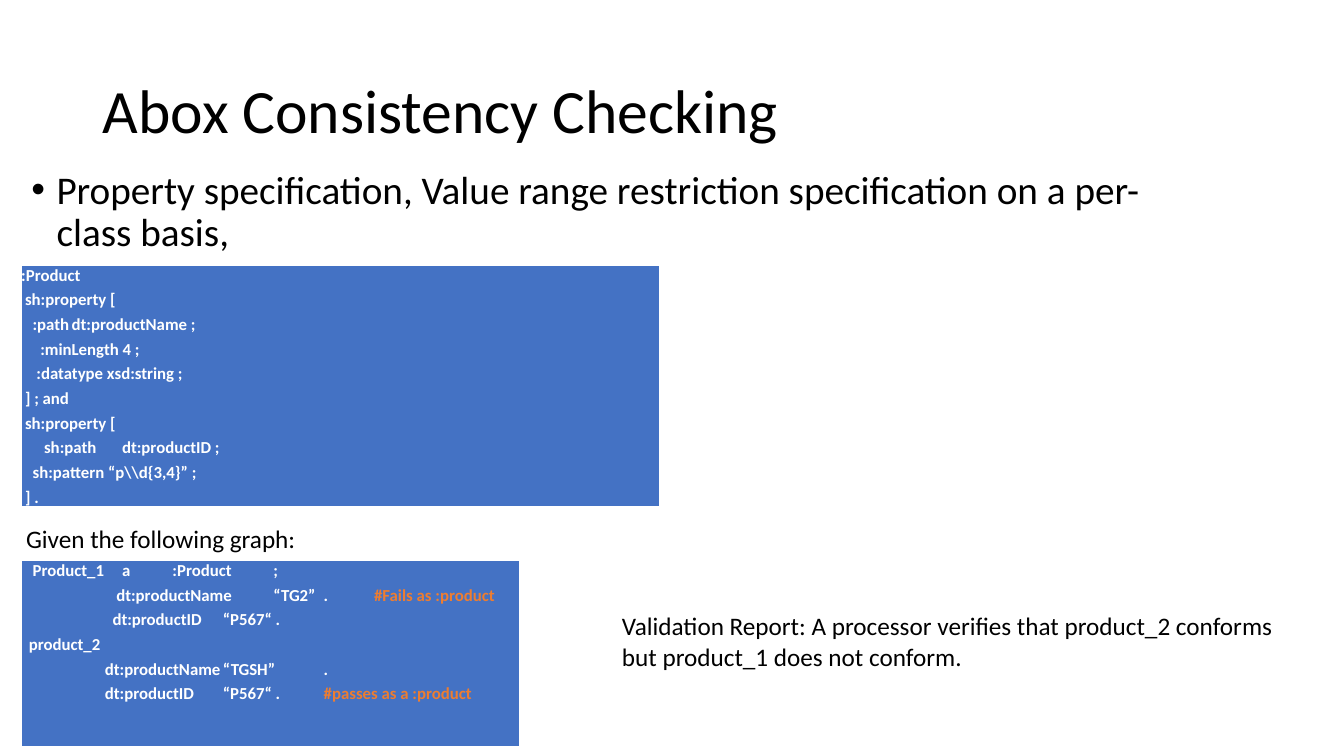
import dataclasses
import typing

import lxml.etree
import pptx
import pptx.dml.color
import pptx.enum.text
import pptx.oxml.ns
import pptx.util

WIDE = pptx.util.Inches(13.33)
HIGH = pptx.util.Inches(7.5)
SPACE = WIDE * 0.00283  # one column of the code grid


@dataclasses.dataclass(frozen=True)
class Theme:
    font: str = "Calibri"
    ink: str = "000000"
    light: str = "FFFFFF"
    fill: str = "4472C4"
    note: str = "ED7D31"
    title: float = 44
    body: float = 28
    label: float = 18
    code: float = 12


THEME = Theme()


class Box(typing.NamedTuple):
    """Left, top, width and height in percent of the slide."""
    left: float
    top: float
    width: float
    height: float

    def emu(self) -> list[int]:
        sides = (WIDE, HIGH, WIDE, HIGH)
        return [round(side * part / 100) for side, part in zip(sides, self)]


class Line(typing.NamedTuple):
    """A code line; indent and tab stops in columns of the code grid."""
    indent: float
    text: str
    stops: tuple[float, ...] = ()
    note: str = ""


class Code(typing.NamedTuple):
    box: Box
    row: float
    lines: list[Line]


class Label(typing.NamedTuple):
    box: Box
    text: str


CODES = [
    Code(Box(1.58, 35.07, 47.49, 33.33), 20.8, [
        Line(0, ":Product"),
        Line(1, "sh:property ["),
        Line(3, ":path\tdt:productName ;", (19.3,)),
        Line(5, ":minLength 4 ;"),
        Line(4, ":datatype xsd:string ;"),
        Line(1, "] ; and"),
        Line(1, "sh:property ["),
        Line(6, "sh:path\tdt:productID ;", (23.5,)),
        Line(3, r"sh:pattern “p\\d{3,4}” ;"),
        Line(1, "] ."),
    ]),
    Code(Box(1.58, 74.13, 37.06, 26.27), 24.8, [
        Line(3, "Product_1\ta\t:Product\t;", (32.5, 44.5, 64)),
        Line(25, "dt:productName\t“TG2”\t.\t", (59, 72, 92.5), "#Fails as :product"),
        Line(24, "dt:productID\t“P567“ .", (59,)),
        Line(2, "product_2"),
        Line(22, "dt:productName\t“TGSH”\t.", (56, 72)),
        Line(22, "dt:productID\t“P567“ .\t", (57, 86.5), "#passes as a :product"),
    ]),
]

LABELS = [
    Label(Box(1.2, 68.53, 33.16, 5.33), "Given the following graph:"),
    Label(Box(45.54, 80.13, 50.26, 9.47),
          "Validation Report: A processor verifies that product_2 conforms "
          "but product_1 does not conform."),
]


def node(up, tag: str, **attrs: str):
    return lxml.etree.SubElement(up, pptx.oxml.ns.qn(tag), attrs)


def tint(code: str) -> pptx.dml.color.RGBColor:
    return pptx.dml.color.RGBColor.from_string(code)


def write(para, text: str, size: float, color: str, bold: bool = False) -> None:
    run = para.add_run()
    run.text = text
    run.font.name = THEME.font
    run.font.size = pptx.util.Pt(size)
    run.font.bold = bold
    run.font.color.rgb = tint(color)


def fit(holder, box: Box, text: str, size: float):
    """Place a placeholder, write its text and return the paragraph."""
    holder.left, holder.top, holder.width, holder.height = box.emu()
    holder.text_frame.auto_size = pptx.enum.text.MSO_AUTO_SIZE.NONE
    para = holder.text_frame.paragraphs[0]
    para.alignment = pptx.enum.text.PP_ALIGN.LEFT
    para.line_spacing = 0.9
    write(para, text, size, THEME.ink)
    return para


def bullet(para) -> None:
    para.space_before = pptx.util.Pt(10)
    props = para._p.get_or_add_pPr()
    step = pptx.util.Inches(0.25)
    props.set("marL", str(step))
    props.set("indent", str(-step))
    node(props, "a:buFont", typeface="Arial")
    node(props, "a:buChar", char="•")


def draw_label(slide, label: Label) -> None:
    frame = slide.shapes.add_textbox(*label.box.emu()).text_frame
    frame.word_wrap = True
    frame.auto_size = pptx.enum.text.MSO_AUTO_SIZE.SHAPE_TO_FIT_TEXT
    write(frame.paragraphs[0], label.text, THEME.label, THEME.ink)


def draw_line(para, line: Line) -> None:
    para.space_before = para.space_after = pptx.util.Pt(1.5)
    props = para._p.get_or_add_pPr()
    props.set("marL", "0")
    props.set("indent", str(round(line.indent * SPACE)))
    if line.stops:
        tabs = node(props, "a:tabLst")
        for stop in line.stops:
            node(tabs, "a:tab", pos=str(round(stop * SPACE)), algn="l")
    write(para, line.text, THEME.code, THEME.light, True)
    if line.note:
        write(para, line.note, THEME.code, THEME.note, True)


def edge(cell) -> None:
    """Give the cell white borders, thicker at the bottom."""
    props = cell._tc.get_or_add_tcPr()
    for spot, (side, width) in enumerate(zip("LRTB", (1, 1, 1, 3))):
        rule = node(props, f"a:ln{side}", w=str(pptx.util.Pt(width)))
        node(node(rule, "a:solidFill"), "a:srgbClr", val=THEME.light)
        props.insert(spot, rule)


def draw_code(slide, code: Code) -> None:
    frame = slide.shapes.add_table(1, 1, *code.box.emu())
    frame.table.rows[0].height = round(HIGH * code.row / 100)
    frame.height = code.box.emu()[3]
    cell = frame.table.cell(0, 0)
    cell.margin_left = cell.margin_right = cell.margin_top = cell.margin_bottom = 0
    cell.vertical_anchor = pptx.enum.text.MSO_ANCHOR.TOP
    cell.fill.solid()
    cell.fill.fore_color.rgb = tint(THEME.fill)
    edge(cell)
    text = cell.text_frame
    for rank, line in enumerate(code.lines):
        draw_line(text.add_paragraph() if rank else text.paragraphs[0], line)


def main() -> None:
    deck = pptx.Presentation()
    deck.slide_width, deck.slide_height = WIDE, HIGH
    slide = deck.slides.add_slide(deck.slide_layouts[1])
    title, body = slide.placeholders
    fit(title, Box(6.9, 5.33, 86.27, 19.33), "Abox Consistency Checking", THEME.title)
    title.text_frame.vertical_anchor = pptx.enum.text.MSO_ANCHOR.MIDDLE
    bullet(fit(body, Box(1.58, 21.87, 86.27, 12.93),
               "Property specification, Value range restriction specification "
               "on a per-class basis,", THEME.body))
    for code in CODES:
        draw_code(slide, code)
    for label in LABELS:
        draw_label(slide, label)
    deck.save("out.pptx")


if __name__ == "__main__":
    main()
